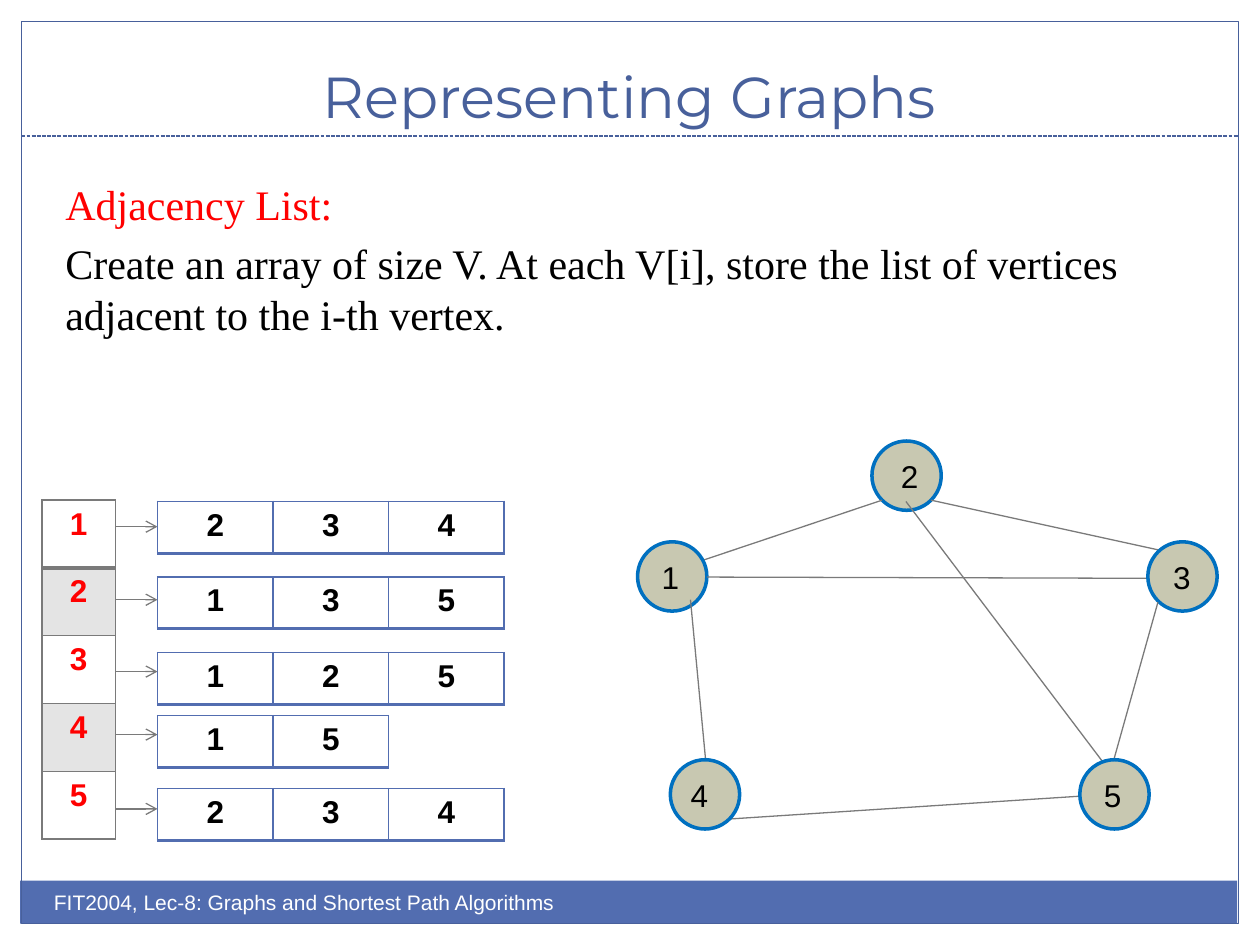
from dataclasses import dataclass

from lxml.etree import SubElement
from pptx import Presentation
from pptx.dml.color import RGBColor
from pptx.enum.dml import MSO_LINE_DASH_STYLE as Dash
from pptx.enum.shapes import MSO_CONNECTOR as Conn, MSO_SHAPE as Shape
from pptx.enum.text import MSO_ANCHOR as Anchor, PP_ALIGN as Align
from pptx.oxml.ns import qn
from pptx.util import Emu, Inches, Pt

NAVY = RGBColor(0x48, 0x60, 0x9B)
BLUE = RGBColor(0x52, 0x6D, 0xB0)
RING = RGBColor(0x00, 0x70, 0xC0)
SAND = RGBColor(0xC8, 0xC8, 0xB1)
GRAY = RGBColor(0x7A, 0x7A, 0x7A)
PALE = RGBColor(0xE4, 0xE4, 0xE4)
RED = RGBColor(0xFF, 0x00, 0x00)
BLACK = RGBColor(0x00, 0x00, 0x00)
WHITE = RGBColor(0xFF, 0xFF, 0xFF)

# The slide is a grid of 100 columns by 75 rows
COLS, ROWS = 100, 75
NODE = 5.5
INDEX_LEFT, INDEX_TOP, INDEX_W, INDEX_H = 3.33, 39.7, 5.83, 5.38
LIST_LEFT, CELL_W, CELL_H = 12.5, 9.17, 4.1

prs = Presentation()
prs.slide_width, prs.slide_height = Inches(10), Inches(7.5)
s = prs.slides.add_slide(prs.slide_layouts[6])


@dataclass(frozen=True)
class Edge:
    """A straight line between two grid points."""
    col1: float
    row1: float
    col2: float
    row2: float


@dataclass(frozen=True)
class Node:
    """A graph vertex, with the edges that lie on top of it."""
    label: str
    col: float
    row: float
    label_col: float
    edges: tuple[Edge, ...] = ()


@dataclass(frozen=True)
class AdjacencyRow:
    """The neighbours of one vertex."""
    row: float
    arrow_row: float
    neighbours: str


NODES = (
    Node("2", 69.2, 35, 70.5, (Edge(70, 39.7, 53.3, 45.3), Edge(73.9, 39.7, 93.1, 43.9))),
    Node("1", 50.6, 43, 51.5, (Edge(54.8, 47.6, 56, 60.3), Edge(57.9, 65, 87.1, 63.1),
                               Edge(56.1, 45.8, 91.4, 45.9))),
    Node("3", 91.1, 43, 92.1, (Edge(91.9, 47.8, 88.4, 60.3), Edge(71.9, 39.8, 88, 61.1))),
    Node("4", 53.2, 60.3, 53.8),
    Node("5", 85.7, 60.3, 86.6),
)
ADJACENCY = (
    AdjacencyRow(39.8, 41.8, "234"),
    AdjacencyRow(45.8, 47.6, "135"),
    AdjacencyRow(51.8, 53.3, "125"),
    AdjacencyRow(56.8, 58.3, "15"),
    AdjacencyRow(62.6, 64.2, "234"),
)


def x(col: float) -> Emu:
    return Emu(round(prs.slide_width * col / COLS))


def y(row: float) -> Emu:
    return Emu(round(prs.slide_height * row / ROWS))


def box(col: float, row: float, w: float, h: float) -> tuple[Emu, Emu, Emu, Emu]:
    return x(col), y(row), x(w), y(h)


def set_font(p, size: float, name: str, color: RGBColor, bold: bool = False) -> None:
    p.font.size, p.font.name, p.font.bold = Pt(size), name, bold
    p.font.color.rgb = color


def add_shape(kind, area, fill=None, line=None, width: float = 0.75):
    sp = s.shapes.add_shape(kind, *area)
    sp.shadow.inherit = False
    if fill is None:
        sp.fill.background()
    else:
        sp.fill.solid()
        sp.fill.fore_color.rgb = fill
    if line is None:
        sp.line.fill.background()
    else:
        sp.line.color.rgb, sp.line.width = line, Pt(width)
    return sp


def add_text(area, lines, size, name, align=Align.LEFT, anchor=Anchor.TOP, gap=0):
    """Write (text, color) lines as paragraphs, with a gap between them."""
    sp = s.shapes.add_textbox(*area)
    tf = sp.text_frame
    tf.word_wrap, tf.vertical_anchor = True, anchor
    for i, (text, color) in enumerate(lines):
        p = tf.add_paragraph() if i else tf.paragraphs[0]
        p.text, p.alignment = text, align
        p.space_before = Pt(gap if i else 0)
        set_font(p, size, name, color)
    return tf


def add_line(e: Edge, color: RGBColor = GRAY, arrow: bool = False):
    c = s.shapes.add_connector(Conn.STRAIGHT, x(e.col1), y(e.row1), x(e.col2), y(e.row2))
    c.line.color.rgb, c.line.width = color, Pt(0.75)
    if arrow:
        SubElement(c.line._get_or_add_ln(), qn("a:tailEnd"), type="arrow")
    SubElement(c._element.spPr, qn("a:effectLst"))
    return c


def add_node(n: Node) -> None:
    add_shape(Shape.OVAL, box(n.col, n.row, NODE, NODE), SAND, RING, 2)
    add_text(box(n.label_col, n.row + 0.8, 3.4, 4), [(n.label, BLACK)], 18, "Arial",
             Align.CENTER).word_wrap = False
    for e in n.edges:
        add_line(e)


def set_borders(cell, color: RGBColor, bottom: float) -> None:
    tc_pr = cell._tc.get_or_add_tcPr()
    for side, width in (("L", 1), ("R", 1), ("T", 1), ("B", bottom)):
        ln = SubElement(tc_pr, qn(f"a:ln{side}"), w=str(Pt(width)))
        fill = SubElement(ln, qn("a:solidFill"))
        SubElement(fill, qn("a:srgbClr"), val=str(color))


def add_grid(col, row, w, h, values, color, border):
    """Draw a table of cells w by h from rows of labels."""
    rows, cols = len(values), len(values[0])
    table = s.shapes.add_table(rows, cols, *box(col, row, w * cols, h * rows)).table
    table.first_row = table.horz_banding = False
    for i, labels in enumerate(values):
        for j, label in enumerate(labels):
            cell = table.cell(i, j)
            p = cell.text_frame.paragraphs[0]
            p.text, p.alignment = label, Align.CENTER
            set_font(p, 18, "Arial", color, True)
            set_borders(cell, border, 1 if i or border == GRAY and rows == 1 else 2)
            cell.fill.background()
    return table


# Frame, footer band and title rule
add_shape(Shape.RECTANGLE, box(1.6, 69.9, 96.6, 3.4), BLUE)
add_shape(Shape.RECTANGLE, box(1.7, 1.7, 96.6, 71.6), line=NAVY)
add_line(Edge(1.7, 10.8, 98.3, 10.8), NAVY).line.dash_style = Dash.SQUARE_DOT

# Title, footer and body text
add_text(box(3.3, 2.5, 93.3, 8.3), [("Representing Graphs", NAVY)], 33, "Montserrat",
         Align.CENTER, Anchor.BOTTOM)
add_text(box(3.3, 70.1, 50, 4),
         [("FIT2004, Lec-8: Graphs and Shortest Path Algorithms", WHITE)], 12, "Arial")
body = add_text(box(4.2, 13.3, 94.2, 50), [
    ("Adjacency List:", RED),
    ("Create an array of size V. At each V[i], store the list of vertices "
     "adjacent to the i-th vertex.", BLACK),
], 24, "Times New Roman", gap=4.8)
body.margin_top = Inches(0.09)

# Graph
for node in NODES:
    add_node(node)

# Vertex array, shaded on every second row
index = add_grid(INDEX_LEFT, INDEX_TOP, INDEX_W, INDEX_H, "12345", RED, GRAY)
for i in (1, 3):
    index.cell(i, 0).fill.solid()
    index.cell(i, 0).fill.fore_color.rgb = PALE

# Neighbour lists with their arrows
for a in ADJACENCY:
    add_grid(LIST_LEFT, a.row, CELL_W, CELL_H, [a.neighbours], BLACK, BLUE)
    add_line(Edge(INDEX_LEFT + INDEX_W, a.arrow_row, LIST_LEFT, a.arrow_row), arrow=True)

prs.save("out.pptx")
